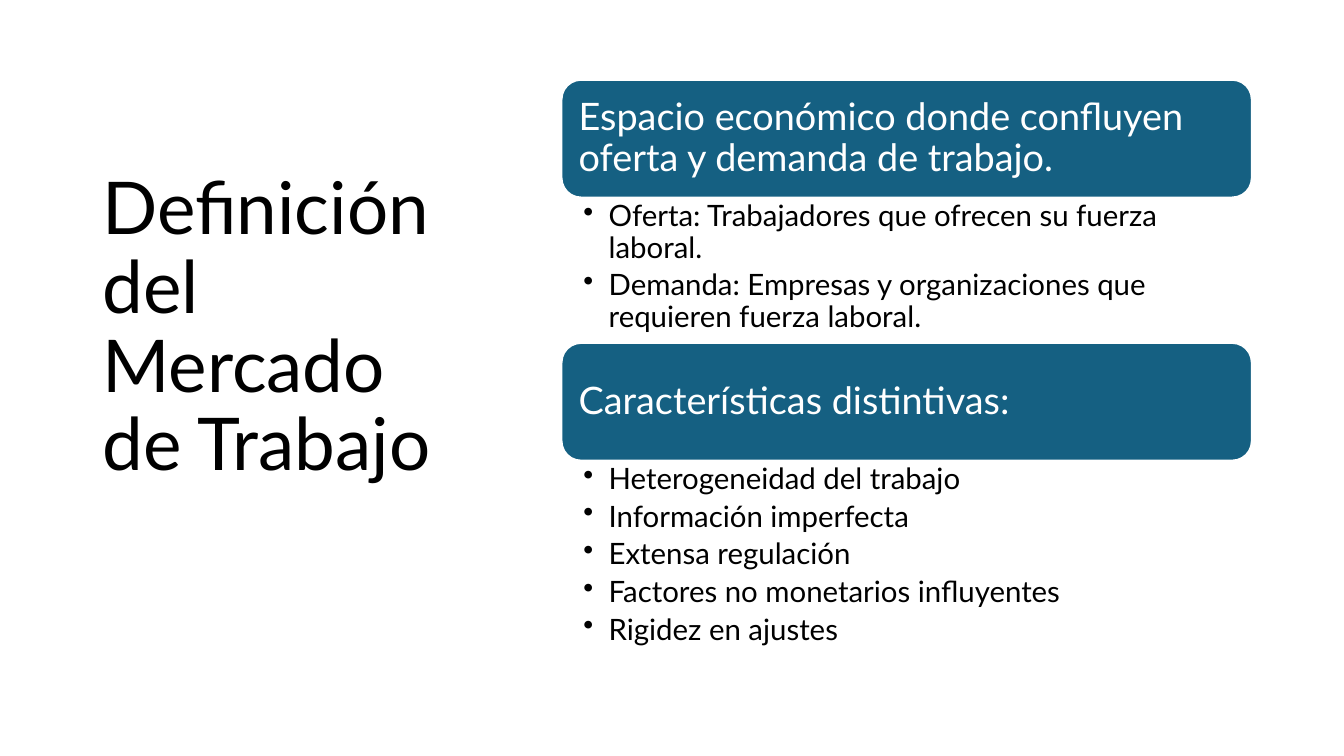
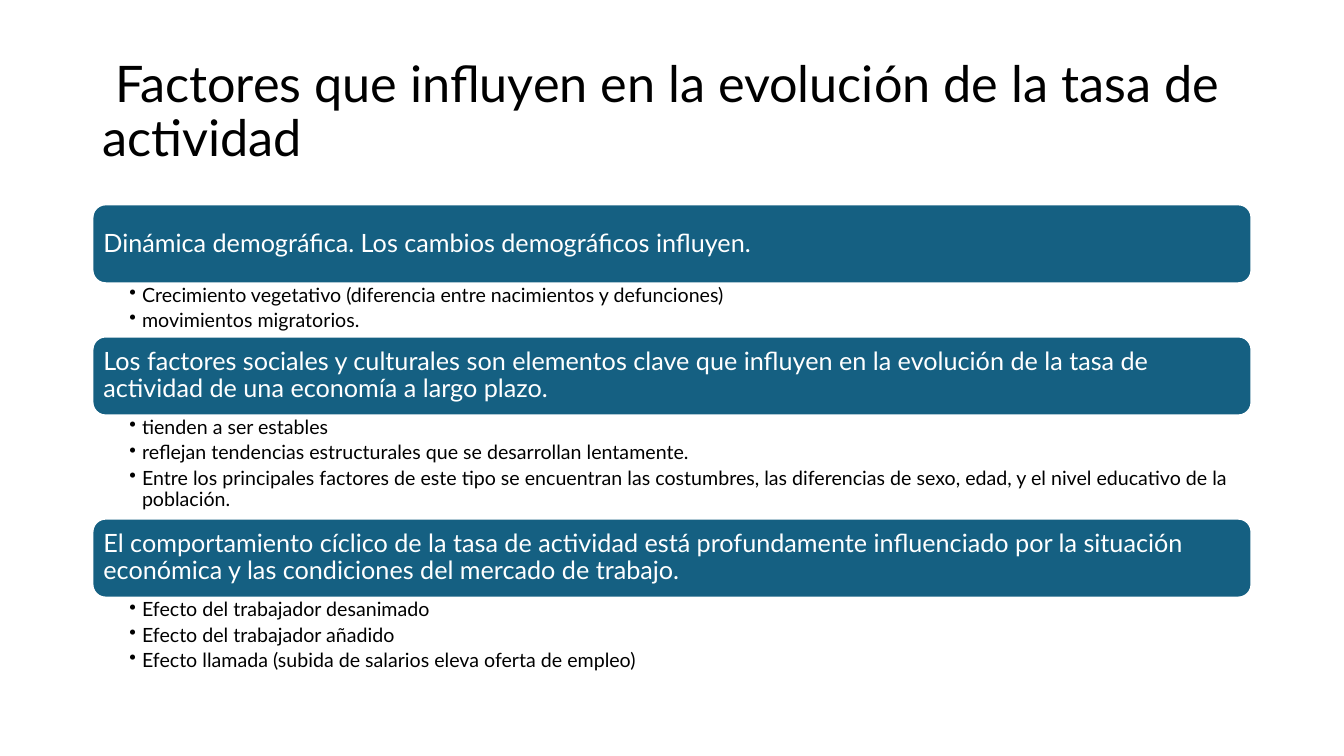
"""Build two slides on the labour market, each a title beside or above banded bullet lists."""
import dataclasses

import lxml.etree
import pptx
import pptx.dml.color
import pptx.enum.shapes
import pptx.enum.text
import pptx.oxml.ns
import pptx.util

Cm = pptx.util.Cm
Pt = pptx.util.Pt

COLORS = {"band": "156082", "band_text": "FFFFFF", "outline": "FFFFFF", "text": "000000"}
FONT = "Lato"
LINE_SPACING = 0.9


@dataclasses.dataclass
class ListStyle:
    left: float
    top: float
    width: float
    band_height: float
    band_inset: float
    band_size: int
    bullet_size: int
    bullet_indent: float
    bullet_insets: tuple


SIDE_LIST = ListStyle(14.15, 2.01, 17.4, 2.97, 0.29, 27, 21, 0.64, (0.55, 0.09, 0.53, 0.09))
WIDE_LIST = ListStyle(2.33, 5.15, 29.21, 1.99, 0.18, 18, 14, 0.32, (0.93, 0.06, 0.36, 0.06))

DEFINITION_SECTIONS = [
    ("Espacio económico donde confluyen oferta y demanda de trabajo.", 3.66, [
        "Oferta: Trabajadores que ofrecen su fuerza laboral.",
        "Demanda: Empresas y organizaciones que requieren fuerza laboral.",
    ]),
    ("Características distintivas:", 5.13, [
        "Heterogeneidad del trabajo",
        "Información imperfecta",
        "Extensa regulación",
        "Factores no monetarios influyentes",
        "Rigidez en ajustes",
    ]),
]

FACTOR_SECTIONS = [
    ("Dinámica demográfica. Los cambios demográficos influyen.", 1.34, [
        "Crecimiento vegetativo (diferencia entre nacimientos y defunciones)",
        "movimientos migratorios.",
    ]),
    ("Los factores sociales y culturales son elementos clave que influyen en la evolución "
     "de la tasa de actividad de una economía a largo plazo.", 2.6, [
         "tienden a ser estables",
         "reflejan tendencias estructurales que se desarrollan lentamente.",
         "Entre los principales factores de este tipo se encuentran las costumbres, las "
         "diferencias de sexo, edad, y el nivel educativo de la población.",
     ]),
    ("El comportamiento cíclico de la tasa de actividad está profundamente influenciado por "
     "la situación económica y las condiciones del mercado de trabajo.", 2, [
         "Efecto del trabajador desanimado",
         "Efecto del trabajador añadido",
         "Efecto llamada (subida de salarios eleva oferta de empleo)",
     ]),
]


def rgb(name):
    return pptx.dml.color.RGBColor.from_string(COLORS[name])


def set_frame(shape, insets, anchor):
    frame = shape.text_frame
    frame.word_wrap = True
    frame.vertical_anchor = anchor
    (frame.margin_left, frame.margin_top,
     frame.margin_right, frame.margin_bottom) = map(Cm, insets)
    return frame


def format_paragraph(paragraph, size, color):
    paragraph.alignment = pptx.enum.text.PP_ALIGN.LEFT
    paragraph.line_spacing = LINE_SPACING
    for run in paragraph.runs:
        run.font.name = FONT
        run.font.size = Pt(size)
        run.font.color.rgb = rgb(color)


def add_bullet(paragraph, indent):
    properties = paragraph._p.get_or_add_pPr()
    properties.set("marL", str(Cm(indent)))
    properties.set("indent", str(-Cm(indent)))
    bullet = lxml.etree.SubElement(properties, pptx.oxml.ns.qn("a:buChar"))
    bullet.set("char", "•")


def add_title(slide, text, box, size, bottom_inset=0.13):
    shape = slide.shapes.add_textbox(*map(Cm, box))
    frame = set_frame(shape, (0.25, 0.13, 0.25, bottom_inset),
                      pptx.enum.text.MSO_ANCHOR.MIDDLE)
    frame.text = text
    format_paragraph(frame.paragraphs[0], size, "text")


def add_band(slide, text, top, style):
    shape = slide.shapes.add_shape(
        pptx.enum.shapes.MSO_SHAPE.ROUNDED_RECTANGLE,
        Cm(style.left), Cm(top), Cm(style.width), Cm(style.band_height))
    shape.shadow.inherit = False
    shape.fill.solid()
    shape.fill.fore_color.rgb = rgb("band")
    shape.line.color.rgb = rgb("outline")
    shape.line.width = Pt(1.5)
    frame = set_frame(shape, (style.band_inset,) * 4, pptx.enum.text.MSO_ANCHOR.MIDDLE)
    frame.text = text
    format_paragraph(frame.paragraphs[0], style.band_size, "band_text")


def add_bullets(slide, items, top, height, style):
    shape = slide.shapes.add_textbox(Cm(style.left), Cm(top), Cm(style.width), Cm(height))
    frame = set_frame(shape, style.bullet_insets, pptx.enum.text.MSO_ANCHOR.TOP)
    frame.text = "\n".join(items)
    for paragraph in frame.paragraphs:
        add_bullet(paragraph, style.bullet_indent)
        format_paragraph(paragraph, style.bullet_size, "text")
        paragraph.space_after = Pt(style.bullet_size * 0.2)


def add_sections(slide, sections, style):
    top = style.top
    for heading, height, items in sections:
        add_band(slide, heading, top, style)
        top += style.band_height
        add_bullets(slide, items, top, height, style)
        top += height


def main():
    presentation = pptx.Presentation()
    presentation.slide_width = Cm(33.87)
    presentation.slide_height = Cm(19.05)
    blank = presentation.slide_layouts[6]

    definition = presentation.slides.add_slide(blank)
    add_title(definition, "Definición del Mercado de Trabajo",
              (2.33, 1.55, 9.37, 15.47), 52, bottom_inset=2.11)
    add_sections(definition, DEFINITION_SECTIONS, SIDE_LIST)

    factors = presentation.slides.add_slide(blank)
    add_title(factors, " Factores que influyen en la evolución de la tasa de actividad",
              (2.33, 1.01, 29.21, 3.68), 36)
    add_sections(factors, FACTOR_SECTIONS, WIDE_LIST)

    presentation.save("out.pptx")


if __name__ == "__main__":
    main()
